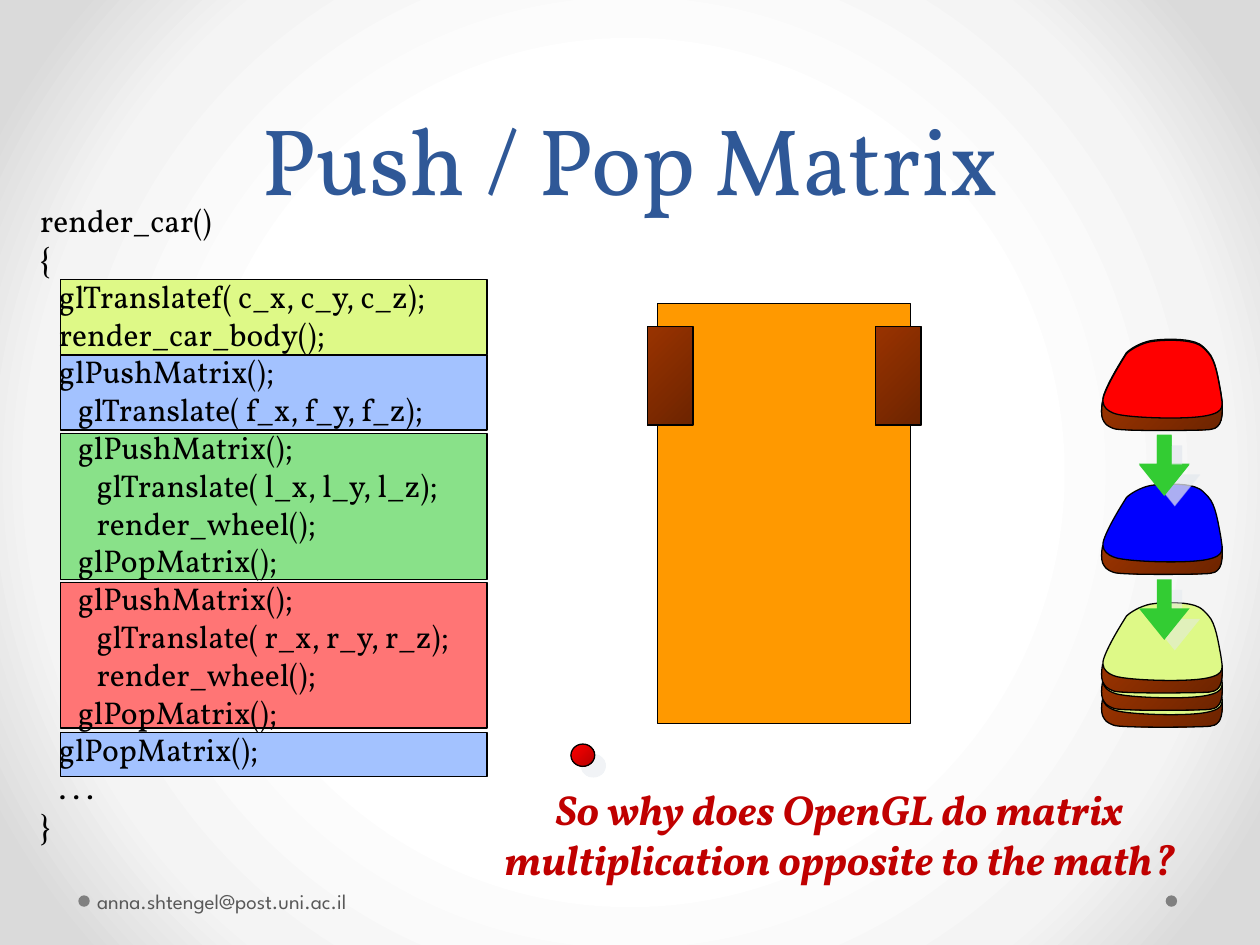
from lxml import etree
from pptx import Presentation
from pptx.dml.color import RGBColor
from pptx.enum.shapes import MSO_SHAPE as Shape
from pptx.enum.text import MSO_ANCHOR as Anchor, MSO_AUTO_SIZE as AutoSize, PP_ALIGN as Align
from pptx.oxml.ns import nsdecls, qn
from pptx.util import Cm, Pt

BLACK = RGBColor(0, 0, 0)
TITLE_BLUE = RGBColor(0x2F, 0x58, 0x97)
QUESTION_RED = RGBColor(0xC0, 0, 0)
FOOTER_GRAY = RGBColor(0x59, 0x59, 0x59)
DOT_GRAY = RGBColor(0x80, 0x80, 0x80)
ORANGE = RGBColor(0xFF, 0x99, 0)
LIME = RGBColor(0xDE, 0xF9, 0x87)
SKY = RGBColor(0xA3, 0xC2, 0xFF)
MINT = RGBColor(0x89, 0xE1, 0x89)
CORAL = RGBColor(0xFF, 0x75, 0x75)
GREEN = RGBColor(0x33, 0xCC, 0x33)
BLUE = RGBColor(0, 0, 0xFF)
RED = RGBColor(0xFF, 0, 0)
BROWN_FADE = (RGBColor(0x99, 0x33, 0), RGBColor(0x6D, 0x24, 0))
RED_FADE = (RED, RGBColor(0xB6, 0, 0))
SERIF, SANS = "Vollkorn", "League Spartan"

# Content: indent level and text of each code line
TITLE = "Push / Pop Matrix"
CODE = [
    (0, "render_car()"),
    (0, "{"),
    (1, "glTranslatef( c_x, c_y, c_z);"),
    (1, "render_car_body();"),
    (1, "glPushMatrix();"),
    (2, "glTranslate( f_x, f_y, f_z);"),
    (2, "glPushMatrix();"),
    (3, "glTranslate( l_x, l_y, l_z);"),
    (3, "render_wheel();"),
    (2, "glPopMatrix();"),
    (2, "glPushMatrix();"),
    (3, "glTranslate( r_x, r_y, r_z);"),
    (3, "render_wheel();"),
    (2, "glPopMatrix();"),
    (1, "glPopMatrix();"),
    (1, ". . ."),
    (0, "}"),
]
QUESTION = "So why does OpenGL do matrix multiplication opposite to the math?"
EMAIL = "anna.shtengel@post.uni.ac.il"

# Code bands: top, height, colour (cm)
BANDS = [
    (14.77, 0.89, SKY),
    (11.74, 2.94, CORAL),
    (8.74, 2.94, MINT),
    (7.16, 1.51, SKY),
    (5.64, 1.51, LIME),
]

# Matrix stack: top of each slab, colour, whether an arrow drops from it
SLAB_LEFT = 22.15
SLABS = [
    (12.83, LIME, False),
    (12.49, LIME, False),
    (12.14, LIME, False),
    (9.75, BLUE, True),
    (6.83, GREEN, True),
    (6.85, RED, True),
]

# Slab outlines: start point, then cubic curves (control, control, end)
SLAB_SIDE = [
    (0.08, 1.25),
    (0.05, 1.4), (0.05, 1.52), (0.08, 1.6),
    (0.13, 1.7), (0.15, 1.73), (0.3, 1.79),
    (0.43, 1.85), (2.16, 1.83), (2.24, 1.81),
    (2.31, 1.79), (2.36, 1.81), (2.44, 1.69),
    (2.49, 1.58), (2.49, 1.52), (2.49, 1.27),
    (2.49, 1.27), (0.08, 1.25), (0.08, 1.25),
]
SLAB_TOP = [
    (0.1, 1.14),
    (0.2, 0.84), (0.51, 0.36), (0.56, 0.28),
    (0.64, 0.2), (0.84, 0.08), (1.04, 0.04),
    (1.27, 0), (1.63, 0), (1.83, 0.04),
    (2.01, 0.08), (2.06, 0.1), (2.21, 0.27),
    (2.36, 0.43), (2.41, 0.81), (2.46, 1.07),
    (2.49, 1.32), (2.57, 1.45), (2.18, 1.53),
    (1.8, 1.61), (0.76, 1.58), (0.41, 1.51),
    (0.41, 1.51), (0, 1.45), (0.1, 1.14),
]

deck = Presentation()
deck.slide_width, deck.slide_height = Cm(25.4), Cm(19.05)
page = deck.slides.add_slide(deck.slide_layouts[5])


def paint(shape, fill, outlined=True, shadow=False):
    """Fill with a colour, or with a pair of colours as a diagonal gradient."""
    shape.shadow.inherit = False
    if isinstance(fill, RGBColor):
        shape.fill.solid()
        shape.fill.fore_color.rgb = fill
    else:
        shape.fill.gradient()
        shape.fill.gradient_angle = 315
        for stop, color, position in zip(shape.fill.gradient_stops, fill, (0, 1)):
            stop.color.rgb, stop.position = color, position
    if outlined:
        shape.line.color.rgb = BLACK
        shape.line.width = Pt(0.75)
    else:
        shape.line.fill.background()
    if shadow:
        effects = shape.element.spPr.find(qn("a:effectLst"))
        effects.append(etree.fromstring(
            f'<a:outerShdw {nsdecls("a")} dist="{Pt(8.5)}" dir="2700000" algn="ctr" rotWithShape="0">'
            '<a:srgbClr val="E4E9EF"><a:alpha val="50000"/></a:srgbClr></a:outerShdw>'))


def add_figure(kind, left, top, width, height, fill, **style):
    shape = page.shapes.add_shape(kind, Cm(left), Cm(top), Cm(width), Cm(height))
    paint(shape, fill, **style)
    return shape


def add_outline(points, top, fill):
    """Draw a closed freeform, turning each three segments into one cubic curve."""
    spots = [(Cm(SLAB_LEFT + x), Cm(top + y)) for x, y in points]
    builder = page.shapes.build_freeform(*spots[0])
    builder.add_line_segments(spots[1:], close=True)
    shape = builder.convert_to_shape()
    segments = list(shape.element.iter(qn("a:lnTo")))
    for start in range(0, len(points) - 1, 3):
        curve = etree.Element(qn("a:cubicBezTo"))
        segments[start].addprevious(curve)
        for segment in segments[start:start + 3]:
            curve.append(segment[0])
            segment.getparent().remove(segment)
    paint(shape, fill)


def add_text(left, top, width, height, lines, font, size, color, align=Align.LEFT):
    box = page.shapes.add_textbox(Cm(left), Cm(top), Cm(width), Cm(height))
    frame = box.text_frame
    frame.word_wrap = True
    frame.text = "\n".join(lines)
    for para in frame.paragraphs:
        para.alignment = align
        for span in para.runs:
            style_font(span.font, font, size, color)
    return frame


def style_font(target, name, size, color):
    target.name, target.size, target.color.rgb = name, Pt(size), color


# Background
page.background.fill.gradient()
old_fill = page.element.find(".//" + qn("a:gradFill"))
stops = "".join(f'<a:gs pos="{pos}000"><a:srgbClr val="{color}"/></a:gs>'
                for pos, color in ((50, "FFFFFF"), (76, "F4F4F4"), (92, "DADADA")))
old_fill.getparent().replace(old_fill, etree.fromstring(
    f'<a:gradFill {nsdecls("a")} rotWithShape="1"><a:gsLst>{stops}</a:gsLst><a:path path="circle">'
    '<a:fillToRect l="50000" t="50000" r="50000" b="50000"/></a:path></a:gradFill>'))

# Footer dots
for left in (23.5, 1.58):
    add_figure(Shape.OVAL, left, 18.05, 0.23, 0.23, DOT_GRAY, outlined=False)

# Car body and code bands
add_figure(Shape.RECTANGLE, 13.25, 6.12, 5.11, 8.46, ORANGE)
for top, height, color in BANDS:
    add_figure(Shape.RECTANGLE, 1.22, top, 8.6, height, color)

# Code
code = add_text(0.56, 3.93, 9.4, 13.23, [line for _, line in CODE], SERIF, 18, BLACK)
code.auto_size = AutoSize.SHAPE_TO_FIT_TEXT
for para, (level, _) in zip(code.paragraphs, CODE):
    para._p.get_or_add_pPr().set("marL", str(Cm(0.38 * level)))

# Title
title = page.shapes.title
title.left, title.top, title.width, title.height = Cm(1.27), Cm(0), Cm(22.86), Cm(4.45)
title.text_frame.text = TITLE
title.text_frame.vertical_anchor = Anchor.BOTTOM
heading = title.text_frame.paragraphs[0]
heading.alignment, heading.line_spacing = Align.CENTER, Pt(58)
style_font(heading.runs[0].font, SERIF, 54, TITLE_BLUE)

# Matrix stack
for top, color, has_arrow in SLABS:
    if has_arrow:
        arrow = add_figure(Shape.RIGHT_ARROW, 22.86, top + 2.03, 1.22, 1.02, GREEN,
                           outlined=False, shadow=True)
        arrow.rotation = 90
        arrow.adjustments[0], arrow.adjustments[1] = 0.29, 0.62
    add_outline(SLAB_SIDE, top, BROWN_FADE)
    add_outline(SLAB_TOP, top, color)

# Wheels and origin point
for left in (13.05, 17.65):
    add_figure(Shape.RECTANGLE, left, 6.58, 0.92, 1.99, BROWN_FADE)
add_figure(Shape.OVAL, 11.51, 15, 0.48, 0.45, RED_FADE, shadow=True)

# Question and footer
question = add_text(9.42, 15.67, 15.01, 2.31, [QUESTION], SERIF, 24, QUESTION_RED, Align.CENTER)
question.auto_size = AutoSize.SHAPE_TO_FIT_TEXT
emphasis = question.paragraphs[0].runs[0].font
emphasis.bold = emphasis.italic = True
footer = add_text(1.83, 17.65, 7.9, 1.02, [EMAIL], SANS, 12, FOOTER_GRAY)
footer.margin_left = Cm(0.13)
footer.vertical_anchor = Anchor.MIDDLE

deck.save("out.pptx")
